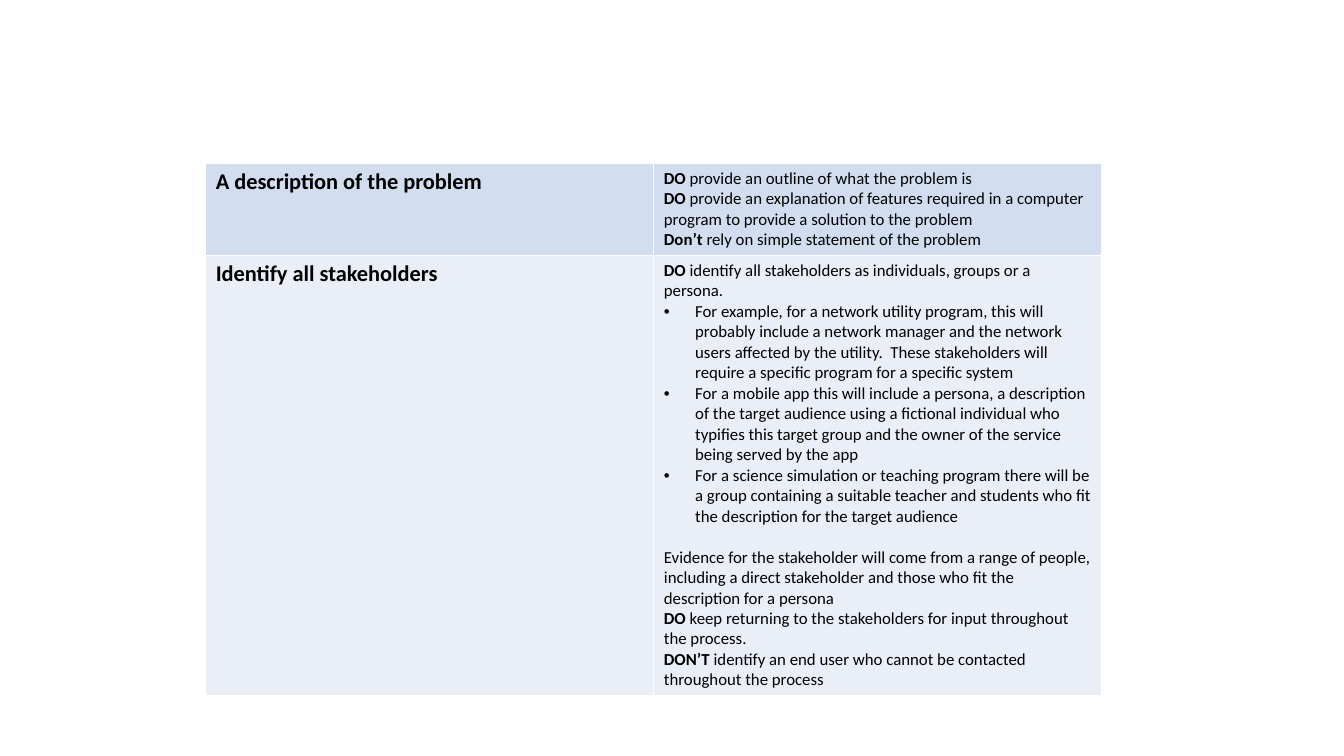
import pptx
import pptx.dml.color
import pptx.oxml
import pptx.oxml.ns
import pptx.util
from pptx.util import Inches

BLACK = pptx.dml.color.RGBColor(0x00, 0x00, 0x00)
WHITE = pptx.dml.color.RGBColor(0xFF, 0xFF, 0xFF)
BLUE = pptx.dml.color.RGBColor(0xD2, 0xDE, 0xEF)
PALE_BLUE = pptx.dml.color.RGBColor(0xEA, 0xEF, 0xF7)
FONT = "Calibri"
HEADING_SIZE = 16
ADVICE_SIZE = 12
LINE_GAP = 14.65

PROBLEM_ADVICE = [
    ("DO", " provide an outline of what the problem is", ""),
    ("DO", " provide an explanation of features required in a computer program "
           "to provide a solution to the problem", ""),
    ("Don’t ", "rely on simple statement of the problem", ""),
]
STAKEHOLDER_ADVICE = [
    ("DO", " identify all stakeholders as individuals, groups or a persona.", ""),
    ("", "For example, for a network utility program, this will probably include "
         "a network manager and the network users affected by the utility.  These "
         "stakeholders will require a specific program for a specific system", "bullet"),
    ("", "For a mobile app this will include a persona, a description of the target "
         "audience using a fictional individual who typifies this target group and "
         "the owner of the service being served by the app", "bullet"),
    ("", "For a science simulation or teaching program there will be a group "
         "containing a suitable teacher and students who fit the description for "
         "the target audience", "bullet"),
    ("", "Evidence for the stakeholder will come from a range of people, including "
         "a direct stakeholder and those who fit the description for a persona", "gap"),
    ("DO", " keep returning to the stakeholders for input throughout the process.", ""),
    ("DON’T", " identify an end user who cannot be contacted throughout the process", ""),
]
SECTIONS = [
    ("A description of the problem", PROBLEM_ADVICE, BLUE, 0.91),
    ("Identify all stakeholders", STAKEHOLDER_ADVICE, PALE_BLUE, 4.36),
]


def add_words(paragraph, words, size, bold):
    """Append one formatted run."""
    run = paragraph.add_run()
    run.text = words
    run.font.name = FONT
    run.font.size = pptx.util.Pt(size)
    run.font.bold = bold
    run.font.color.rgb = BLACK


def add_bullet(paragraph):
    """Give a paragraph a hanging round bullet."""
    properties = paragraph._p.get_or_add_pPr()
    properties.set("marL", str(Inches(0.31)))
    properties.set("indent", str(-Inches(0.31)))
    namespace = pptx.oxml.ns.nsdecls("a")
    properties.append(pptx.oxml.parse_xml(f'<a:buFont {namespace} typeface="Arial"/>'))
    properties.append(pptx.oxml.parse_xml(f'<a:buChar {namespace} char="•"/>'))


def style_cell(cell, color):
    """Fill a cell and draw thin white borders round it."""
    cell.fill.solid()
    cell.fill.fore_color.rgb = color
    properties = cell._tc.get_or_add_tcPr()
    for position, side in enumerate(("lnL", "lnR", "lnT", "lnB")):
        properties.insert(position, pptx.oxml.parse_xml(
            f'<a:{side} {pptx.oxml.ns.nsdecls("a")} w="{pptx.util.Pt(1)}">'
            f'<a:solidFill><a:srgbClr val="{WHITE}"/></a:solidFill></a:{side}>'))


def write_advice(cell, advice):
    """Write the advice lines with bold lead words."""
    for index, (lead, words, layout) in enumerate(advice):
        frame = cell.text_frame
        paragraph = frame.add_paragraph() if index else frame.paragraphs[0]
        if layout == "bullet":
            add_bullet(paragraph)
        elif layout == "gap":
            paragraph.space_before = pptx.util.Pt(LINE_GAP)
        if lead:
            add_words(paragraph, lead, ADVICE_SIZE, True)
        add_words(paragraph, words, ADVICE_SIZE, False)


def add_guidance(slide, left, top, width):
    """Place the two-column guidance table."""
    height = sum(section[3] for section in SECTIONS)
    guidance = slide.shapes.add_table(
        len(SECTIONS), 2, Inches(left), Inches(top), Inches(width), Inches(height)).table
    guidance.first_row = False
    guidance.horz_banding = False
    for row, (heading, advice, color, row_height) in enumerate(SECTIONS):
        guidance.rows[row].height = Inches(row_height)
        heading_cell, advice_cell = guidance.cell(row, 0), guidance.cell(row, 1)
        for cell in (heading_cell, advice_cell):
            style_cell(cell, color)
        add_words(heading_cell.text_frame.paragraphs[0], heading, HEADING_SIZE, True)
        write_advice(advice_cell, advice)


def main():
    """Build and save the slide."""
    deck = pptx.Presentation()
    deck.slide_width = Inches(13.33)
    deck.slide_height = Inches(7.5)
    slide = deck.slides.add_slide(deck.slide_layouts[6])
    add_guidance(slide, 2.04, 1.62, 8.89)
    deck.save("out.pptx")


main()
